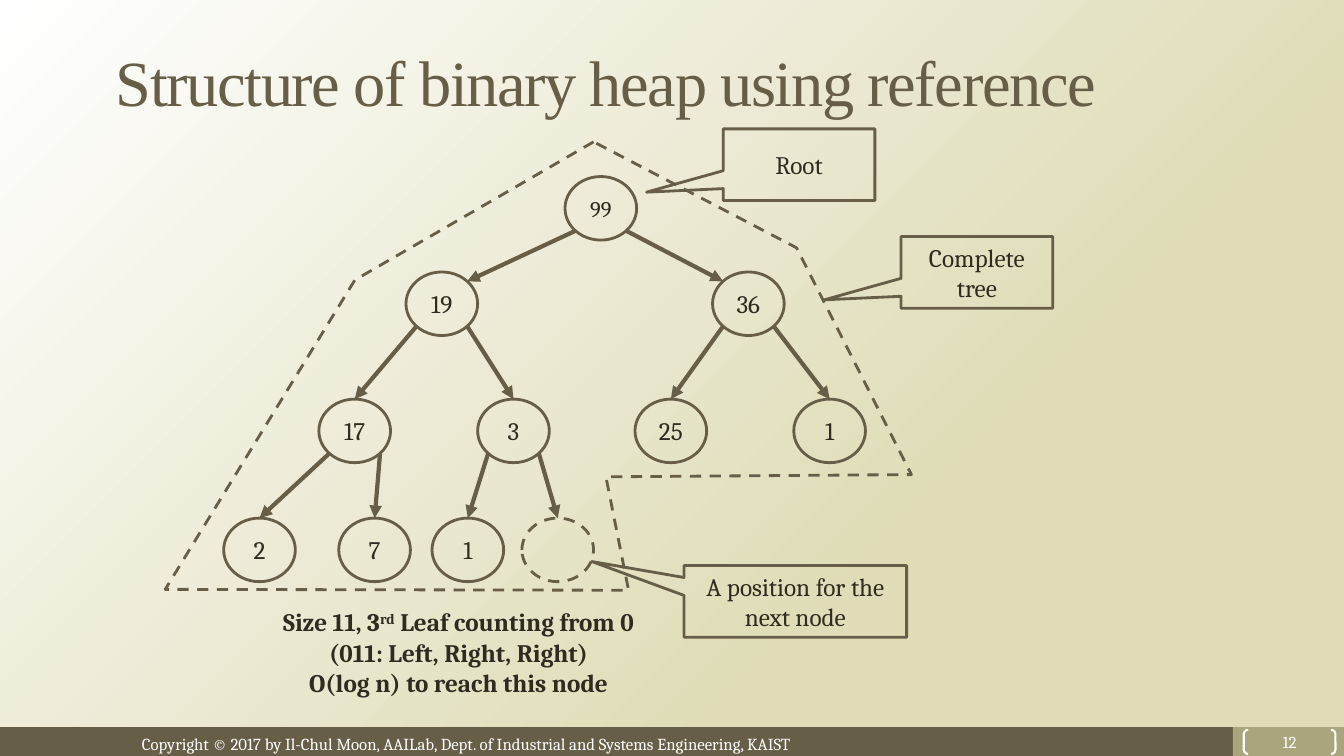
"""Build a slide that explains a binary heap stored as linked nodes."""
from dataclasses import dataclass

from lxml.etree import SubElement
from pptx import Presentation
from pptx.dml.color import RGBColor
from pptx.enum.dml import MSO_LINE
from pptx.enum.shapes import MSO_CONNECTOR, MSO_SHAPE as Preset
from pptx.enum.text import MSO_ANCHOR as Anchor, PP_ALIGN as Align
from pptx.oxml.ns import qn
from pptx.util import Pt


@dataclass(frozen=True)
class Theme:
    brown: str = "675E47"
    olive: str = "A9A57C"
    sand: str = "DFDCB7"
    white: str = "FFFFFF"
    ink: str = "2F2B20"
    title_font: str = "Times New Roman"
    body_font: str = "Cambria"
    title_size: int = 46
    body_size: int = 18
    root_size: int = 16
    footer_size: int = 12
    outline: float = 2
    arrow: float = 3
    bracket: float = 1.5


THEME = Theme()
WIDTH, HEIGHT = 960, 540
FOOTER_TOP = 519.4
TITLE = "Structure of binary heap using reference"
COPYRIGHT = ("Copyright © 2017 by Il-Chul Moon, AAILab, "
             "Dept. of Industrial and Systems Engineering, KAIST")
PAGE = "12"
CAPTION = [
    [("Size 11, 3", 0), ("rd", 30), (" Leaf counting from 0", 0)],
    [("(011: Left, Right, Right)", 0)],
    [("O(log n) to reach this node", 0)],
]
NODE_WIDTH, NODE_HEIGHT = 51.2, 45.4
CORNER = 0.3535
LEVELS = [148.8, 217, 307.8, 392.8]
HEAP = [
    ("99", 429.2),
    ("19", 315.6), ("36", 534.6),
    ("17", 253.4), ("3", 366.8), ("25", 479.2), ("1", 592.6),
    ("2", 185.4), ("7", 267.6), ("1", 334.2), ("", 398.4),
]
CALLOUTS = [
    ("Root", (516.6, 92.1, 108.3, 51.2), (-1.006, 0.383)),
    ("A position for the next node", (488.6, 404, 159, 51.2), (-0.915, -0.557)),
    ("Complete tree", (643.6, 169, 108.3, 51.2), (-1.006, 0.383)),
]
BOUNDARY = [(424, 101.3), (253.5, 200), (118, 421), (449, 421.6),
            (432.8, 340.6), (651, 339), (569, 177)]


def color(code):
    return RGBColor.from_string(code)


def write(shape, paragraphs, size=THEME.body_size, font=THEME.body_font,
          ink=THEME.ink, align=Align.CENTER, anchor=Anchor.MIDDLE, bold=None):
    frame = shape.text_frame
    frame.word_wrap = True
    frame.vertical_anchor = anchor
    for index, pieces in enumerate(paragraphs):
        paragraph = frame.add_paragraph() if index else frame.paragraphs[0]
        paragraph.alignment = align
        paragraph.font.name = font
        paragraph.font.size = Pt(size)
        paragraph.font.bold = bold
        paragraph.font.color.rgb = color(ink)
        for text, raised in pieces:
            run = paragraph.add_run()
            run.text = text
            if raised:
                run.font._element.set("baseline", str(raised * 1000))
    return frame


def style(shape, fill=None, line=None, width=THEME.outline, dashed=False):
    shape.shadow.inherit = False
    if fill:
        shape.fill.solid()
        shape.fill.fore_color.rgb = color(fill)
    else:
        shape.fill.background()
    if line:
        shape.line.color.rgb = color(line)
        shape.line.width = Pt(width)
        if dashed:
            shape.line.dash_style = MSO_LINE.DASH
    else:
        shape.line.fill.background()
    return shape


def add_preset(slide, preset, box, **look):
    return style(slide.shapes.add_shape(preset, *map(Pt, box)), **look)


def add_text(slide, box, paragraphs, **look):
    return write(slide.shapes.add_textbox(*map(Pt, box)), paragraphs, **look)


def add_arrow(slide, start, end):
    arrow = slide.shapes.add_connector(MSO_CONNECTOR.STRAIGHT, *map(Pt, start + end))
    arrow.line.color.rgb = color(THEME.brown)
    arrow.line.width = Pt(THEME.arrow)
    SubElement(arrow.line._get_or_add_ln(), qn("a:tailEnd"), type="triangle")
    SubElement(arrow._element.spPr, qn("a:effectLst"))


def depth_of(index):
    return (index + 1).bit_length() - 1


def center_of(index):
    return HEAP[index][1], LEVELS[depth_of(index)]


def add_heap(slide):
    corner_x, corner_y = NODE_WIDTH * CORNER, NODE_HEIGHT * CORNER
    for index, (label, _) in enumerate(HEAP):
        x, y = center_of(index)
        box = (x - NODE_WIDTH / 2, y - NODE_HEIGHT / 2, NODE_WIDTH, NODE_HEIGHT)
        node = add_preset(slide, Preset.OVAL, box, line=THEME.brown, dashed=not label)
        if label:
            write(node, [[(label, 0)]], size=THEME.body_size if index else THEME.root_size)
        if index:
            parent_x, parent_y = center_of((index - 1) // 2)
            side = -1 if index % 2 else 1
            start = (parent_x + side * corner_x, parent_y + corner_y)
            if depth_of(index) == 1:
                end = (x - side * corner_x, y - corner_y)
            else:
                end = (x, y - NODE_HEIGHT / 2)
            add_arrow(slide, start, end)


def add_boundary(slide):
    first, *others = [(Pt(x), Pt(y)) for x, y in BOUNDARY]
    builder = slide.shapes.build_freeform(*first)
    builder.add_line_segments(others, close=True)
    style(builder.convert_to_shape(), line=THEME.brown, dashed=True)


def add_callouts(slide):
    for text, box, tip in CALLOUTS:
        callout = add_preset(slide, Preset.RECTANGULAR_CALLOUT, box, line=THEME.brown)
        callout.adjustments[0], callout.adjustments[1] = tip
        write(callout, [[(text, 0)]])


def add_background(slide):
    fill = slide.background.fill
    fill.gradient()
    fill.gradient_angle = 135
    stops = [(0.31, THEME.sand), (1, THEME.white)]
    for stop, (position, code) in zip(fill.gradient_stops, stops):
        stop.position = position
        stop.color.rgb = color(code)


def add_footer(slide):
    height = HEIGHT - FOOTER_TOP
    add_preset(slide, Preset.RECTANGLE, (0, FOOTER_TOP, WIDTH, height), fill=THEME.brown)
    add_preset(slide, Preset.RECTANGLE, (880.6, FOOTER_TOP, WIDTH - 880.6, height),
               fill=THEME.olive)
    look = dict(size=THEME.footer_size, ink=THEME.white)
    add_text(slide, (94.3, 520.6, 504.7, 21.6), [[(COPYRIGHT, 0)]],
             align=Align.LEFT, anchor=Anchor.TOP, **look)
    bracket = add_preset(slide, Preset.DOUBLE_BRACKET, (888.4, 521.3, 65.5, 17.3),
                         line=THEME.white, width=THEME.bracket)
    bracket.adjustments[0] = 0.179
    frame = write(bracket, [[(PAGE, 0)]], **look)
    frame.margin_left = frame.margin_right = frame.margin_top = frame.margin_bottom = 0


def main():
    presentation = Presentation()
    presentation.slide_width, presentation.slide_height = Pt(WIDTH), Pt(HEIGHT)
    slide = presentation.slides.add_slide(presentation.slide_layouts[6])
    add_background(slide)
    add_footer(slide)
    title = add_text(slide, (75.6, 19.4, 815, 76.3), [[(TITLE, 0)]], size=THEME.title_size,
                     font=THEME.title_font, ink=THEME.brown, align=Align.LEFT)
    title.paragraphs[0].runs[0].font._element.set("spc", "-100")
    add_heap(slide)
    add_boundary(slide)
    add_callouts(slide)
    add_text(slide, (187.2, 429.8, 280.8, 72.7), CAPTION, anchor=Anchor.TOP, bold=True)
    presentation.save("out.pptx")


if __name__ == "__main__":
    main()
